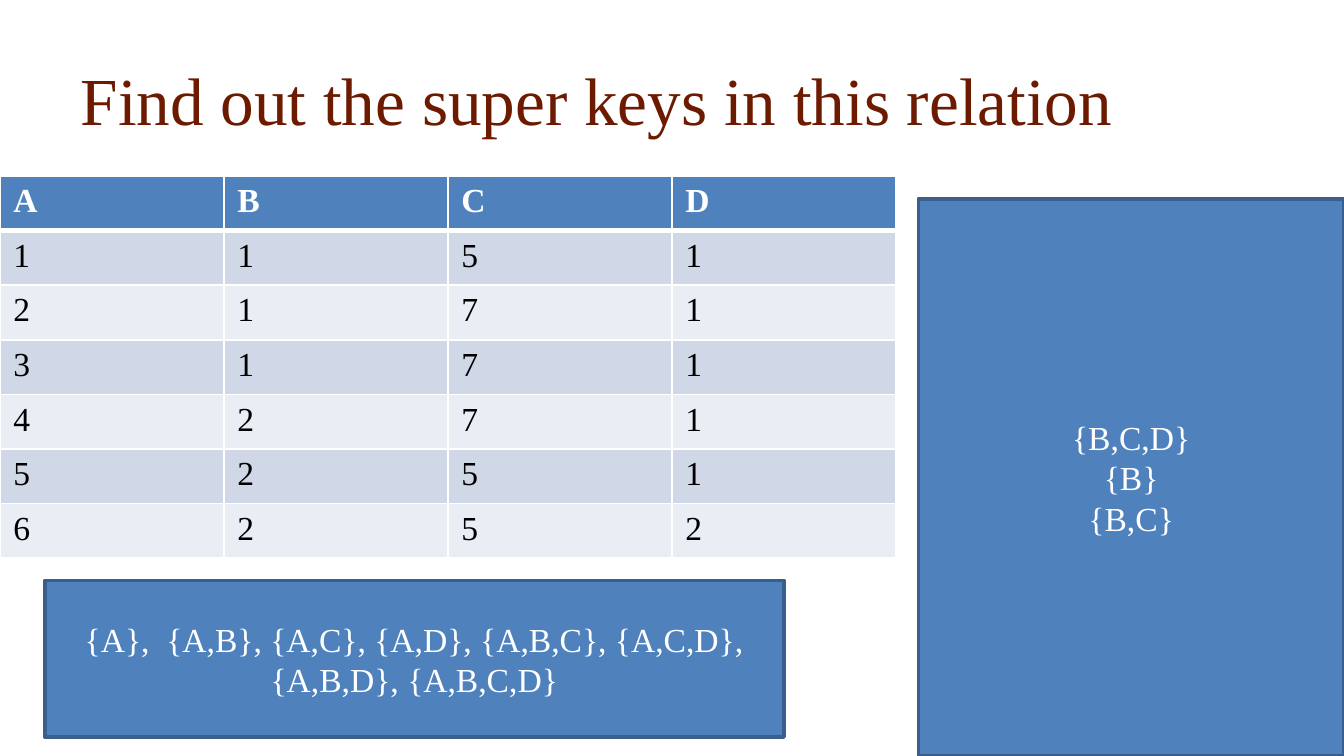
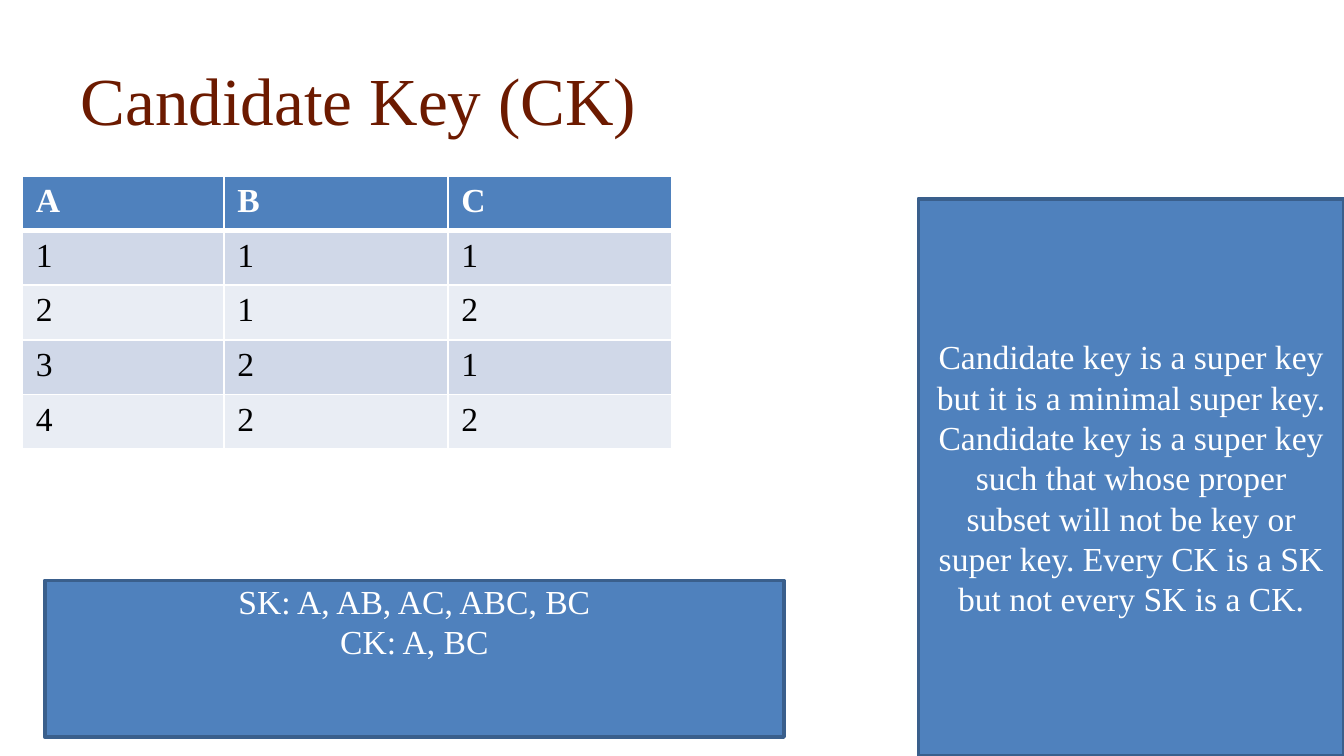
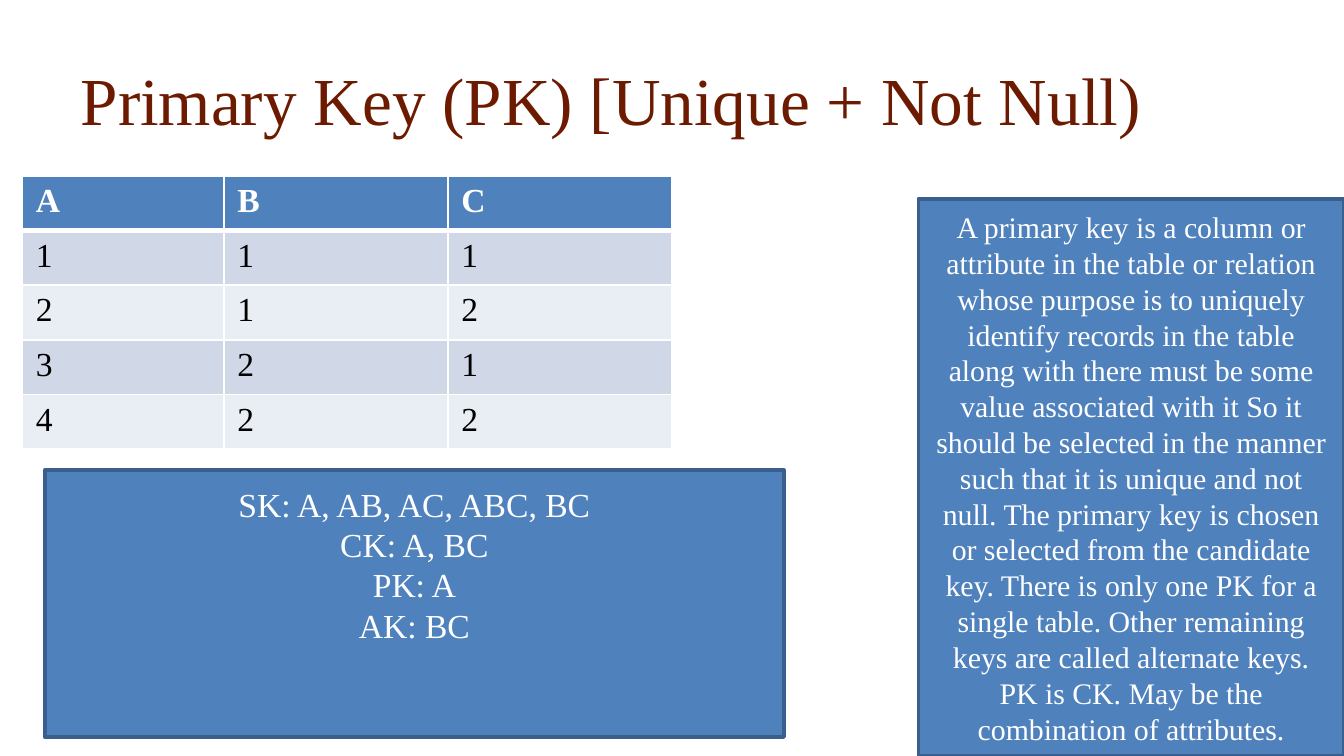
from lxml.etree import SubElement
from pptx import Presentation
from pptx.dml.color import RGBColor
from pptx.enum.shapes import MSO_SHAPE
from pptx.enum.text import MSO_ANCHOR, PP_ALIGN
from pptx.oxml.ns import qn
from pptx.util import Inches, Pt

FONT = "Times New Roman"
WHITE, BLACK = "FFFFFF", "000000"
TITLE_COLOR = "6C1A00"
BLUE, DARK_BLUE = "4F81BD", "3A5F8C"
BANDS = ("E9EDF4", "D0D8E8")

# The grid: 60 columns across, 100 rows down
COLUMNS, ROWS = 60, 100
TABLE_TOP, TABLE_ROW = 23.3, 7.22
ANSWER_TOP, ANSWER_BOTTOM = 76.8, 97.5


def color(hex_string):
    return RGBColor.from_string(hex_string)


class Deck:
    """Holds the shared style and the slide being built."""

    def __init__(self):
        self.presentation = Presentation()
        self.presentation.slide_width = Inches(10)
        self.presentation.slide_height = Inches(5.625)
        self.slide = None

    def across(self, columns):
        return round(self.presentation.slide_width * columns / COLUMNS)

    def down(self, rows):
        return round(self.presentation.slide_height * rows / ROWS)

    def area(self, left, top, width, height):
        return (self.across(left), self.down(top),
                self.across(width), self.down(height))

    def format_text(self, text_frame, size, text_color, align, bold=False):
        for paragraph in text_frame.paragraphs:
            paragraph.alignment = align
            for run in paragraph.runs:
                run.font.name = FONT
                run.font.size = Pt(size)
                run.font.bold = bold
                run.font.color.rgb = color(text_color)

    def add_slide(self, title):
        layout = self.presentation.slide_layouts[5]
        self.slide = self.presentation.slides.add_slide(layout)
        shape = self.slide.shapes.title
        shape.left, shape.top, shape.width, shape.height = self.area(3, 5.5, 54, 15)
        text_frame = shape.text_frame
        text_frame.text = title
        text_frame.word_wrap = True
        text_frame.vertical_anchor = MSO_ANCHOR.MIDDLE
        self.format_text(text_frame, 36, TITLE_COLOR, PP_ALIGN.LEFT)

    def add_borders(self, cell, row):
        properties = cell._tc.get_or_add_tcPr()
        widths = {"a:lnL": 1, "a:lnR": 1,
                  "a:lnT": 3 if row == 1 else 1,
                  "a:lnB": 3 if row == 0 else 1}
        for tag, width in widths.items():
            line = SubElement(properties, qn(tag), w=str(Pt(width)))
            fill = SubElement(line, qn("a:solidFill"))
            SubElement(fill, qn("a:srgbClr"), val=WHITE)

    def add_relation(self, left, column_widths, records):
        """Draw a table; each record is a string with one symbol per cell."""
        frame = self.slide.shapes.add_table(
            len(records), len(column_widths),
            *self.area(left, TABLE_TOP, sum(column_widths), TABLE_ROW * len(records)))
        table = frame.table
        table.horz_banding = False
        for column, width in zip(table.columns, column_widths):
            column.width = self.across(width)
        for row, record in enumerate(records):
            table.rows[row].height = self.down(TABLE_ROW)
            header = row == 0
            for column, value in enumerate(record):
                cell = table.cell(row, column)
                self.add_borders(cell, row)
                cell.fill.solid()
                cell.fill.fore_color.rgb = color(BLUE if header else BANDS[row % 2])
                cell.text_frame.text = value
                self.format_text(cell.text_frame, 18, WHITE if header else BLACK,
                                 PP_ALIGN.LEFT, bold=header)

    def add_box(self, text, left, top, width, height, size=18, top_inset=None):
        """Draw a blue box; a top inset hangs the text from the top edge."""
        shape = self.slide.shapes.add_shape(
            MSO_SHAPE.RECTANGLE, *self.area(left, top, width, height))
        shape.shadow.inherit = False
        shape.fill.solid()
        shape.fill.fore_color.rgb = color(BLUE)
        shape.line.color.rgb = color(DARK_BLUE)
        shape.line.width = Pt(2)
        text_frame = shape.text_frame
        text_frame.text = text
        text_frame.word_wrap = True
        text_frame.vertical_anchor = MSO_ANCHOR.MIDDLE
        if top_inset is not None:
            text_frame.vertical_anchor = MSO_ANCHOR.TOP
            text_frame.margin_top = Inches(top_inset)
        self.format_text(text_frame, size, WHITE, PP_ALIGN.CENTER)

    def add_answer(self, text, top=ANSWER_TOP, top_inset=None):
        self.add_box(text, 2, top, 33, ANSWER_BOTTOM - top, top_inset=top_inset)

    def add_side_panel(self, text, size=18):
        self.add_box(text, 41, 26.3, 19, 73.7, size)


def main():
    deck = Deck()
    key_example = (1, (9, 10, 10), ("ABC", "111", "212", "321", "422"))

    # Super keys
    deck.add_slide("Find out the super keys in this relation")
    deck.add_relation(0, (10,) * 4,
                      ("ABCD", "1151", "2171", "3171", "4271", "5251", "6252"))
    deck.add_answer("{A},  {A,B}, {A,C}, {A,D}, {A,B,C}, {A,C,D},{A,B,D}, {A,B,C,D}")
    deck.add_side_panel("{B,C,D}\n{B}\n{B,C}")

    # Candidate key
    deck.add_slide("Candidate Key (CK)")
    deck.add_relation(*key_example)
    deck.add_answer("SK: A, AB, AC, ABC, BC\nCK: A, BC", top_inset=0)
    deck.add_side_panel(
        "Candidate key is a super key but it is a minimal super key. "
        "Candidate key is a super key such that whose proper subset will not "
        "be key or super key. Every CK is a SK but not every SK is a CK.")

    # Primary key
    deck.add_slide("Primary Key (PK) [Unique + Not Null)")
    deck.add_relation(*key_example)
    deck.add_answer("SK: A, AB, AC, ABC, BC\nCK: A, BC\nPK: A\nAK: BC",
                    top=62.2, top_inset=0.1)
    deck.add_side_panel(
        "A primary key is a column or attribute in the table or relation whose "
        "purpose is to uniquely identify records in the table along with there "
        "must be some value associated with it So it should be selected in the "
        "manner such that it is unique and not null. The primary key is chosen "
        "or selected from the candidate key. There is only one PK for a single "
        "table. Other remaining keys are called alternate keys. PK is CK. May "
        "be the combination of attributes.", size=16)

    deck.presentation.save("out.pptx")


if __name__ == "__main__":
    main()
